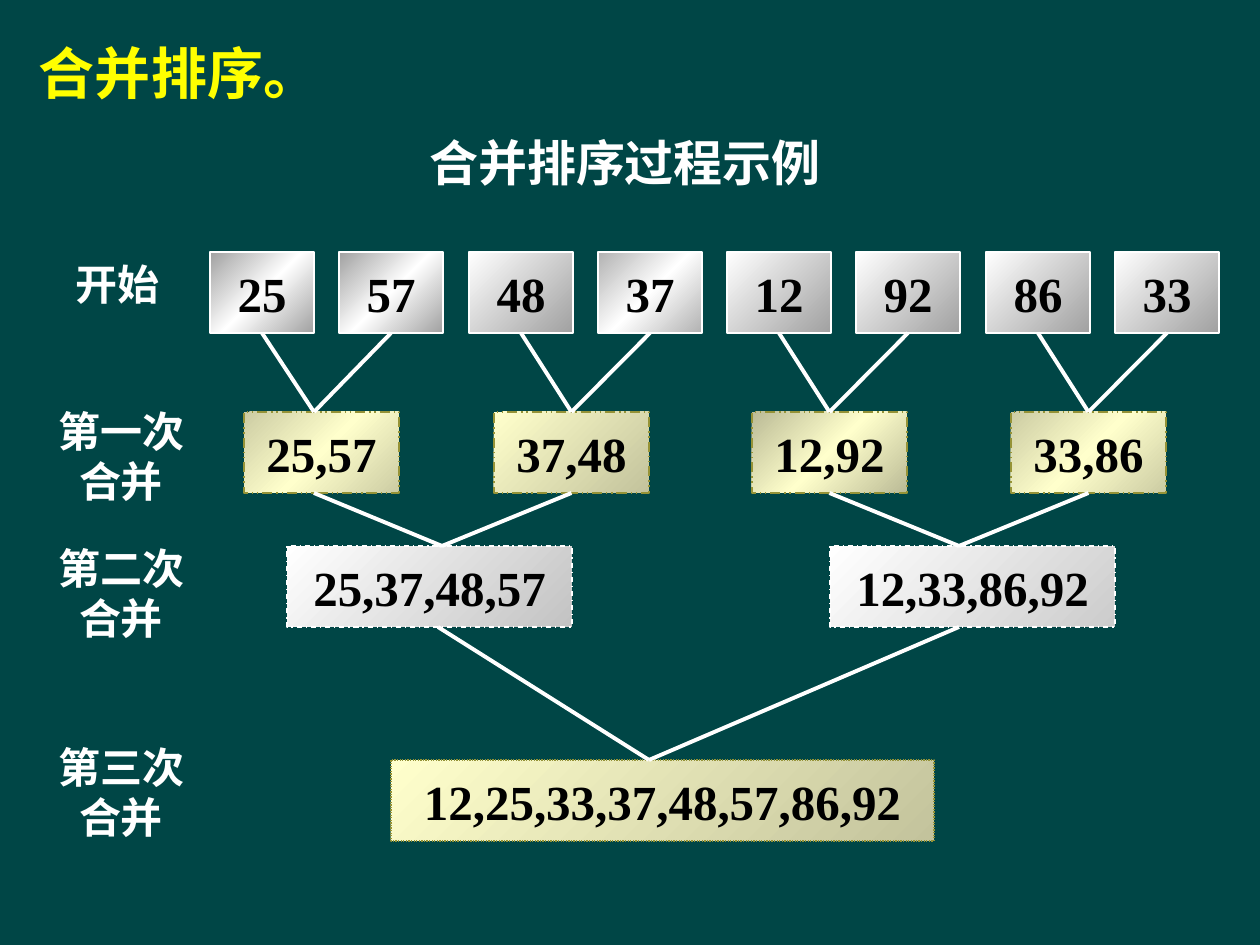
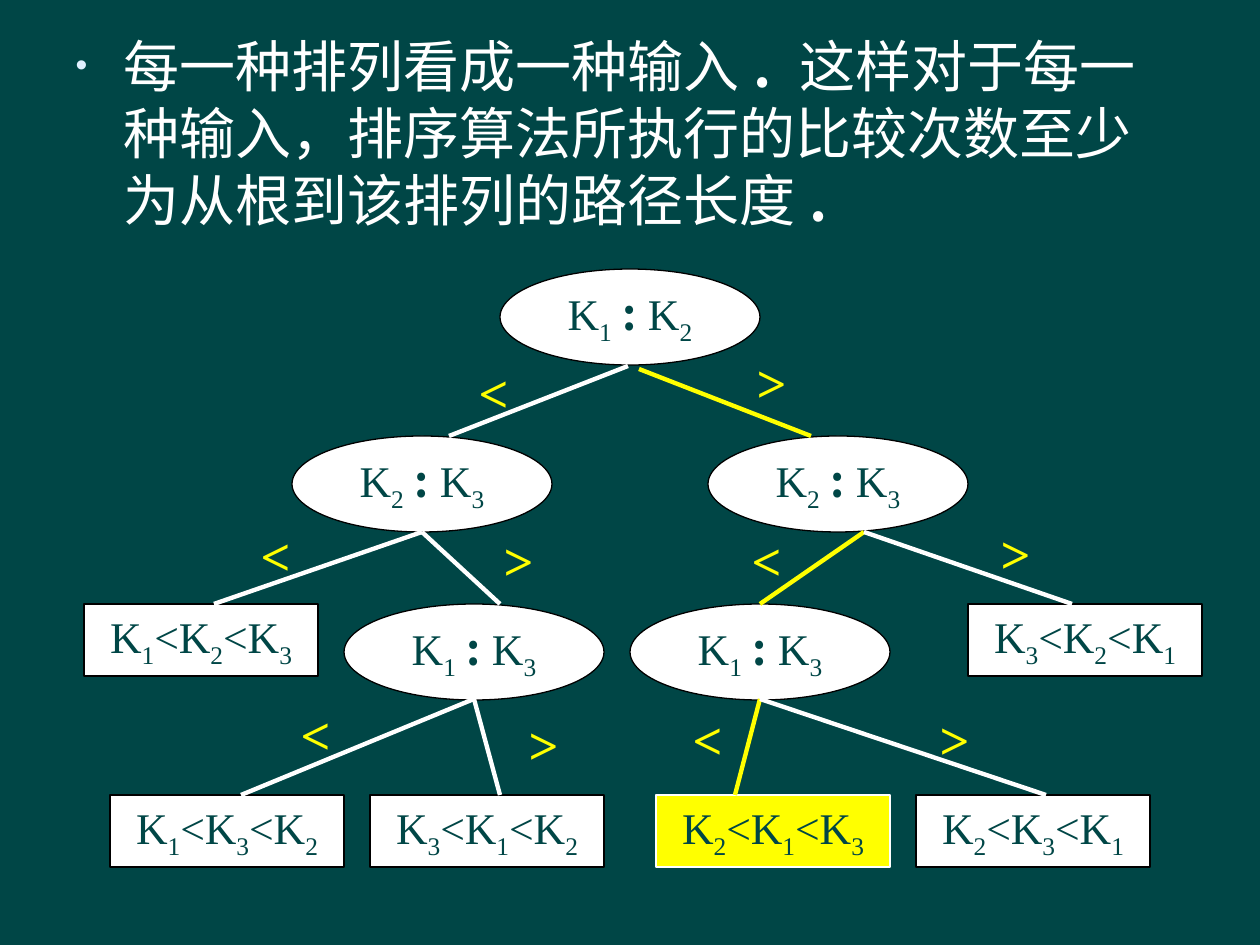
from dataclasses import dataclass
from itertools import groupby
from typing import NamedTuple, Optional

from lxml.etree import SubElement
from pptx import Presentation
from pptx.dml.color import RGBColor
from pptx.enum.dml import MSO_LINE
from pptx.enum.shapes import MSO_CONNECTOR, MSO_SHAPE
from pptx.enum.text import MSO_ANCHOR, MSO_AUTO_SIZE, PP_ALIGN
from pptx.oxml.ns import qn
from pptx.util import Emu, Pt

# Shared look
SCALE = 914400 / 126
TEAL, WHITE, YELLOW, BLACK = "004646", "FFFFFF", "FFFF00", "000000"
OLIVE, BULLET = "959337", "E1F0FF"
SERIF, HAN = "Times New Roman", "Noto Sans CJK SC"
LEFT, CENTER = PP_ALIGN.LEFT, PP_ALIGN.CENTER


class Style(NamedTuple):
    size: int
    color: str
    bold: bool = False
    font: str = SERIF
    align: PP_ALIGN = CENTER
    line_height: Optional[float] = None


TITLE = Style(32, YELLOW, True, SERIF, LEFT, 38.4)
BODY = Style(32, WHITE, False, SERIF, LEFT, 38.4)
HEADING = Style(28, WHITE, True, HAN, CENTER, 33.6)
LABEL = Style(24, WHITE, True, HAN, CENTER, 28.8)
NUMBERS = Style(28, BLACK, True)
KEYS = Style(25, TEAL)
SIGN = Style(30, YELLOW, True)


class Area(NamedTuple):
    left: int
    top: int
    width: int
    height: int


class Point(NamedTuple):
    x: int
    y: int


@dataclass
class SortedRun:
    numbers: str
    area: Area
    stops: tuple[str, ...]
    border: str
    dash: Optional[MSO_LINE]
    entry: int  # x where lines arrive at the top
    leave: int  # x where the line departs from the bottom


@dataclass
class Branch:
    start: Point
    end: Point
    sign: str
    sign_at: Point
    chosen: bool = False


def px(length: int) -> Emu:
    return Emu(round(length * SCALE))


def rgb(color: str) -> RGBColor:
    return RGBColor.from_string(color)


# Text
def format_run(run, style: Style) -> None:
    run.font.size = Pt(style.size)
    run.font.bold = style.bold
    run.font.color.rgb = rgb(style.color)
    run.font.name = style.font
    SubElement(run._r.get_or_add_rPr(), qn("a:ea")).set("typeface", HAN)


def format_paragraph(paragraph, style: Style) -> None:
    paragraph.alignment = style.align
    paragraph.space_before = Pt(0)
    if style.line_height:
        paragraph.line_spacing = Pt(style.line_height)


def write(frame, text: str, style: Style) -> None:
    frame.text = text
    format_paragraph(frame.paragraphs[0], style)
    format_run(frame.paragraphs[0].runs[0], style)


def mark_of(char: str) -> str:
    if char.isdigit():
        return "index"
    return "mark" if char in ":." else "plain"


def write_marked(paragraph, text: str, style: Style) -> None:
    """Lower the digits and embolden the colons and stops."""
    format_paragraph(paragraph, style)
    for kind, chars in groupby(text, mark_of):
        run = paragraph.add_run()
        run.text = "".join(chars)
        is_mark = kind == "mark"
        format_run(run, style._replace(bold=is_mark, font=HAN if is_mark else style.font))
        if kind == "index":
            run._r.get_or_add_rPr().set("baseline", "-25000")


def set_insets(frame, sides: int, ends: int) -> None:
    frame.margin_left = frame.margin_right = px(sides)
    frame.margin_top = frame.margin_bottom = px(ends)


def add_label(slide, area: Area, text: str, style: Style) -> None:
    frame = slide.shapes.add_textbox(*map(px, area)).text_frame
    frame.word_wrap = True
    write(frame, text, style)


def place(placeholder, area: Area):
    placeholder.left, placeholder.top, placeholder.width, placeholder.height = map(px, area)
    frame = placeholder.text_frame
    frame.auto_size = MSO_AUTO_SIZE.NONE
    frame.vertical_anchor = MSO_ANCHOR.TOP
    return frame


# Shapes and lines
def add_outlined(slide, kind: MSO_SHAPE, area: Area, border: str):
    shape = slide.shapes.add_shape(kind, *map(px, area))
    shape.shadow.inherit = False
    shape.line.color.rgb = rgb(border)
    shape.line.width = Pt(0.75)
    return shape


def fill_gradient(shape, stops: tuple[str, ...]) -> None:
    shape.fill.gradient()
    shape.fill.gradient_angle = 315
    stop_list = shape._element.spPr.find(".//" + qn("a:gsLst"))
    stop_list.clear()
    for i, color in enumerate(stops):
        stop = SubElement(stop_list, qn("a:gs"), pos=str(100000 * i // (len(stops) - 1)))
        SubElement(stop, qn("a:srgbClr"), val=color)


def add_line(slide, start: Point, end: Point, color: str, width: float):
    line = slide.shapes.add_connector(MSO_CONNECTOR.STRAIGHT, *map(px, start + end))
    line.line.color.rgb = rgb(color)
    line.line.width = Pt(width)
    SubElement(line._element.spPr, qn("a:effectLst"))
    return line


def at_middle(x: int, area: Area) -> bool:
    return abs(x - area.left - area.width / 2) <= 1


# Slide 1: merge sort, level by level
SHINY = ("A1A1A1", WHITE, "A1A1A1")
SILVER = (WHITE, "A1A1A1")
CREAM = ("FFFFCC", "C3C39C")
GOLD = ("CCCCA3", "FFFFCC", "CCCCA3")
BOX_HEIGHT = 81


def sorting_levels() -> list[list[SortedRun]]:
    start_fills = [SHINY, SHINY, SILVER, ("B2B2B2", WHITE, "B2B2B2")] + [SILVER] * 4
    start = []
    for i, (number, stops) in enumerate(zip("25 57 48 37 12 92 86 33".split(), start_fills)):
        area = Area(round(210 + i * 129.3), 252, 104, BOX_HEIGHT)
        middle = area.left + area.width // 2
        start.append(SortedRun(number, area, stops, WHITE, None, middle, middle))

    first = [
        SortedRun(numbers, Area(left, 412, 155, BOX_HEIGHT), stops, OLIVE,
                  MSO_LINE.DASH_DOT_DOT, port, port)
        for numbers, left, stops, port in [
            ("25,57", 244, GOLD, 314),
            ("37,48", 494, CREAM, 572),
            ("12,92", 752, ("BBBB96", "FFFFCC", "BBBB96"), 830),
            ("33,86", 1011, GOLD, 1089),
        ]
    ]
    second = [
        SortedRun(numbers, Area(left, 546, 285, BOX_HEIGHT), (WHITE, shade), WHITE,
                  MSO_LINE.DASH_DOT, entry, leave)
        for numbers, left, shade, entry, leave in [
            ("25,37,48,57", 287, "C3C3C3", 442, 438),
            ("12,33,86,92", 830, "CCCCCC", 959, 959),
        ]
    ]
    third = [SortedRun("12,25,33,37,48,57,86,92", Area(391, 760, 543, BOX_HEIGHT), CREAM,
                       OLIVE, MSO_LINE.ROUND_DOT, 649, 649)]
    return [start, first, second, third]


def add_sorted_run(slide, run: SortedRun):
    box = add_outlined(slide, MSO_SHAPE.RECTANGLE, run.area, run.border)
    fill_gradient(box, run.stops)
    if run.dash:
        box.line.dash_style = run.dash
    box.text_frame.word_wrap = False
    write(box.text_frame, run.numbers, NUMBERS)
    return box


def build_merge_sort(prs) -> None:
    slide = prs.slides.add_slide(prs.slide_layouts.get_by_name("Title Only"))
    title_frame = place(slide.shapes.title, Area(0, 32, 1260, 80))
    title_frame.margin_left = px(39)
    write(title_frame, "合并排序。", TITLE)
    add_label(slide, Area(305, 126, 640, 72), "合并排序过程示例", HEADING)

    # Row labels
    add_label(slide, Area(63, 252, 126, 63), "开始", LABEL._replace(align=LEFT))
    for text, top in [("第一次合并", 399), ("第二次合并", 536), ("第三次合并", 735)]:
        add_label(slide, Area(42, top, 158, 113), text, LABEL)

    # Each pair of runs merges into one run of the next level
    levels = sorting_levels()
    boxes = [[add_sorted_run(slide, run) for run in level] for level in levels]
    for depth, level in enumerate(levels[:-1]):
        for i, source in enumerate(level):
            target = levels[depth + 1][i // 2]
            line = add_line(slide, Point(source.leave, source.area.top + BOX_HEIGHT),
                            Point(target.entry, target.area.top), WHITE, 2.25)
            if at_middle(source.leave, source.area):
                line.begin_connect(boxes[depth][i], 2)
            if at_middle(target.entry, target.area):
                line.end_connect(boxes[depth + 1][i // 2], 0)


# Slide 2: decision tree for three keys
COMPARISONS = [("K1 : K2", 500, 269), ("K2 : K3", 292, 436), ("K2 : K3", 708, 436),
               ("K1 : K3", 344, 604), ("K1 : K3", 630, 604)]
ORDERINGS = [("K1<K2<K3", 84, 604), ("K3<K2<K1", 968, 604), ("K1<K3<K2", 110, 795),
             ("K3<K1<K2", 370, 795), ("K2<K1<K3", 656, 795), ("K2<K3<K1", 916, 795)]
CHOSEN_ORDERING = "K2<K1<K3"
BRANCHES = [
    Branch(Point(628, 366), Point(449, 436), "<", Point(441, 354)),
    Branch(Point(639, 369), Point(811, 436), ">", Point(719, 344), True),
    Branch(Point(422, 532), Point(214, 604), "<", Point(223, 517)),
    Branch(Point(422, 532), Point(500, 604), ">", Point(466, 522)),
    Branch(Point(864, 532), Point(760, 604), "<", Point(714, 522), True),
    Branch(Point(864, 532), Point(1072, 604), ">", Point(963, 515)),
    Branch(Point(474, 699), Point(241, 795), "<", Point(263, 696)),
    Branch(Point(474, 699), Point(500, 795), ">", Point(491, 706)),
    Branch(Point(760, 699), Point(735, 795), "<", Point(655, 701), True),
    Branch(Point(760, 699), Point(1046, 795), ">", Point(902, 701)),
]


def add_node(slide, kind: MSO_SHAPE, area: Area, keys: str) -> None:
    chosen = keys == CHOSEN_ORDERING
    node = add_outlined(slide, kind, area, WHITE if chosen else BLACK)
    node.fill.solid()
    node.fill.fore_color.rgb = rgb(YELLOW if chosen else WHITE)
    set_insets(node.text_frame, 2, 1)
    write_marked(node.text_frame.paragraphs[0], keys, KEYS)


def add_bullet(paragraph) -> None:
    props = paragraph._p.get_or_add_pPr()
    props.set("marL", str(px(48)))
    props.set("indent", str(px(-48)))
    SubElement(SubElement(props, qn("a:buClr")), qn("a:srgbClr"), val=BULLET)
    SubElement(props, qn("a:buSzPct"), val="60000")
    SubElement(props, qn("a:buChar"), char="•")


def build_decision_tree(prs) -> None:
    slide = prs.slides.add_slide(prs.slide_layouts.get_by_name("Title and Content"))
    unused_title = slide.shapes.title._element
    unused_title.getparent().remove(unused_title)

    # Statement above the tree
    statement = place(slide.placeholders[1], Area(63, 25, 1098, 886)).paragraphs[0]
    add_bullet(statement)
    write_marked(statement, "每一种排列看成一种输入. 这样对于每一种输入，"
                 "排序算法所执行的比较次数至少为从根到该排列的路径长度.", BODY)

    # Nodes, then branches with their signs
    for keys, left, top in COMPARISONS:
        add_node(slide, MSO_SHAPE.OVAL, Area(left, top, 260, 96), keys)
    for keys, left, top in ORDERINGS:
        add_node(slide, MSO_SHAPE.RECTANGLE, Area(left, top, 234, 72), keys)
    for branch in BRANCHES:
        add_line(slide, branch.start, branch.end, YELLOW if branch.chosen else WHITE, 2.5)
        add_label(slide, Area(*branch.sign_at, 105, 76), branch.sign, SIGN)


def main() -> None:
    prs = Presentation()
    prs.slide_width, prs.slide_height = px(1260), px(945)
    background = prs.slide_master.background.fill
    background.solid()
    background.fore_color.rgb = rgb(TEAL)
    build_merge_sort(prs)
    build_decision_tree(prs)
    prs.save("out.pptx")


if __name__ == "__main__":
    main()
